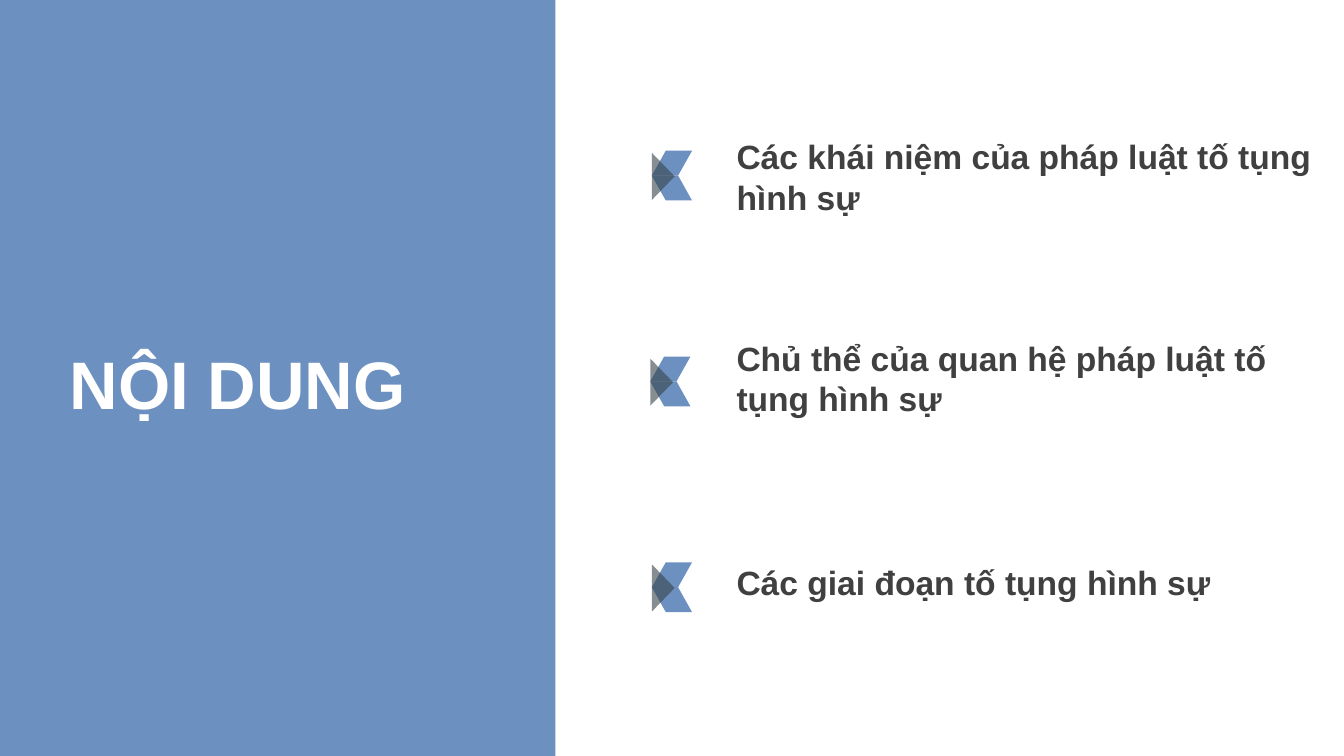
from dataclasses import dataclass

from lxml import etree
from pptx import Presentation
from pptx.dml.color import RGBColor
from pptx.enum.shapes import MSO_SHAPE
from pptx.enum.text import MSO_ANCHOR, MSO_AUTO_SIZE, PP_ALIGN
from pptx.oxml.ns import qn
from pptx.util import Cm, Pt

RECTANGLE = MSO_SHAPE.RECTANGLE
PARALLELOGRAM = MSO_SHAPE.PARALLELOGRAM
TRIANGLE = MSO_SHAPE.ISOSCELES_TRIANGLE
TOP, MIDDLE = MSO_ANCHOR.TOP, MSO_ANCHOR.MIDDLE
LEFT = PP_ALIGN.LEFT
NO_AUTOFIT = MSO_AUTO_SIZE.NONE

BLUE, SLATE, WHITE, GREY = "5E85B9", "38444A", "FFFFFF", "404040"
PAGE_WIDTH, PAGE_HEIGHT = 25.4, 14.29
MARKER_TOP, MARKER_STEP = 2.85, 3.89
WING_WIDTH, WING_HEIGHT = 0.76, 0.47
TEXT_LEFT, TEXT_HEIGHT = 13.67, 1.3


@dataclass
class Topic:
    text: str
    text_top: float
    text_width: float
    marker_left: float


TOPICS = [
    Topic("Các khái niệm của pháp luật tố tụng hình sự", 2.69, 11.73, 12.32),
    Topic("Chủ thể của quan hệ pháp luật tố tụng hình sự", 6.5, 10.67, 12.29),
    Topic("Các giai đoạn tố tụng hình sự", 10.36, 11.25, 12.32),
]


def color(hex_value: str) -> RGBColor:
    return RGBColor.from_string(hex_value)


def add_solid(shapes, kind, left: float, top: float, width: float, height: float,
              fill: str, opacity: int, adjustment: float | None = None):
    shape = shapes.add_shape(kind, Cm(left), Cm(top), Cm(width), Cm(height))
    shape.shadow.inherit = False
    shape.line.fill.background()
    shape.fill.solid()
    shape.fill.fore_color.rgb = color(fill)
    tone = shape.element.spPr.find(qn("a:solidFill"))[0]
    etree.SubElement(tone, qn("a:alpha")).set("val", str(opacity * 1000))
    if adjustment is not None:
        shape.adjustments[0] = adjustment
    return shape


def write_text(box, text: str, *, size: int, fill: str, anchor) -> None:
    frame = box.text_frame
    frame.word_wrap = True
    frame.auto_size = NO_AUTOFIT
    frame.vertical_anchor = anchor
    frame.margin_left = frame.margin_right = Cm(0.25)
    frame.margin_top = frame.margin_bottom = Cm(0.25)
    para = frame.paragraphs[0]
    para.alignment = LEFT
    span = para.add_run()
    span.text = text
    span.font.name = "Arial"
    span.font.size = Pt(size)
    span.font.bold = True
    span.font.color.rgb = color(fill)


def add_marker(page, left: float, top: float) -> None:
    shapes = page.shapes.add_group_shape().shapes
    for row in range(2):
        wing = add_solid(shapes, PARALLELOGRAM, left, top + row * WING_HEIGHT,
                         WING_WIDTH, WING_HEIGHT, BLUE, 91, 0.56)
        if row:
            wing.element.spPr.find(qn("a:xfrm")).set("flipH", "1")
    arrow = add_solid(shapes, TRIANGLE, left - 0.23, top + 0.27, 0.89, 0.43, SLATE, 60, 0.5)
    arrow.rotation = 90


def add_topic(page, topic: Topic, marker_top: float) -> None:
    add_marker(page, topic.marker_left, marker_top)
    box = page.shapes.add_textbox(Cm(TEXT_LEFT), Cm(topic.text_top),
                                  Cm(topic.text_width), Cm(TEXT_HEIGHT))
    write_text(box, topic.text, size=18, fill=GREY, anchor=MIDDLE)


def main() -> None:
    deck = Presentation()
    deck.slide_width, deck.slide_height = Cm(PAGE_WIDTH), Cm(PAGE_HEIGHT)
    page = deck.slides.add_slide(deck.slide_layouts[5])

    panel = add_solid(page.shapes, RECTANGLE, 0, 0, 10.5, PAGE_HEIGHT, BLUE, 91)
    title = page.shapes.title
    title.element.addprevious(panel.element)
    title.left, title.top = Cm(1.07), Cm(6.22)
    title.width, title.height = Cm(9.96), Cm(4.9)
    write_text(title, "NỘI DUNG", size=36, fill=WHITE, anchor=TOP)

    for index, topic in enumerate(TOPICS):
        add_topic(page, topic, MARKER_TOP + index * MARKER_STEP)

    deck.save("out.pptx")


if __name__ == "__main__":
    main()
